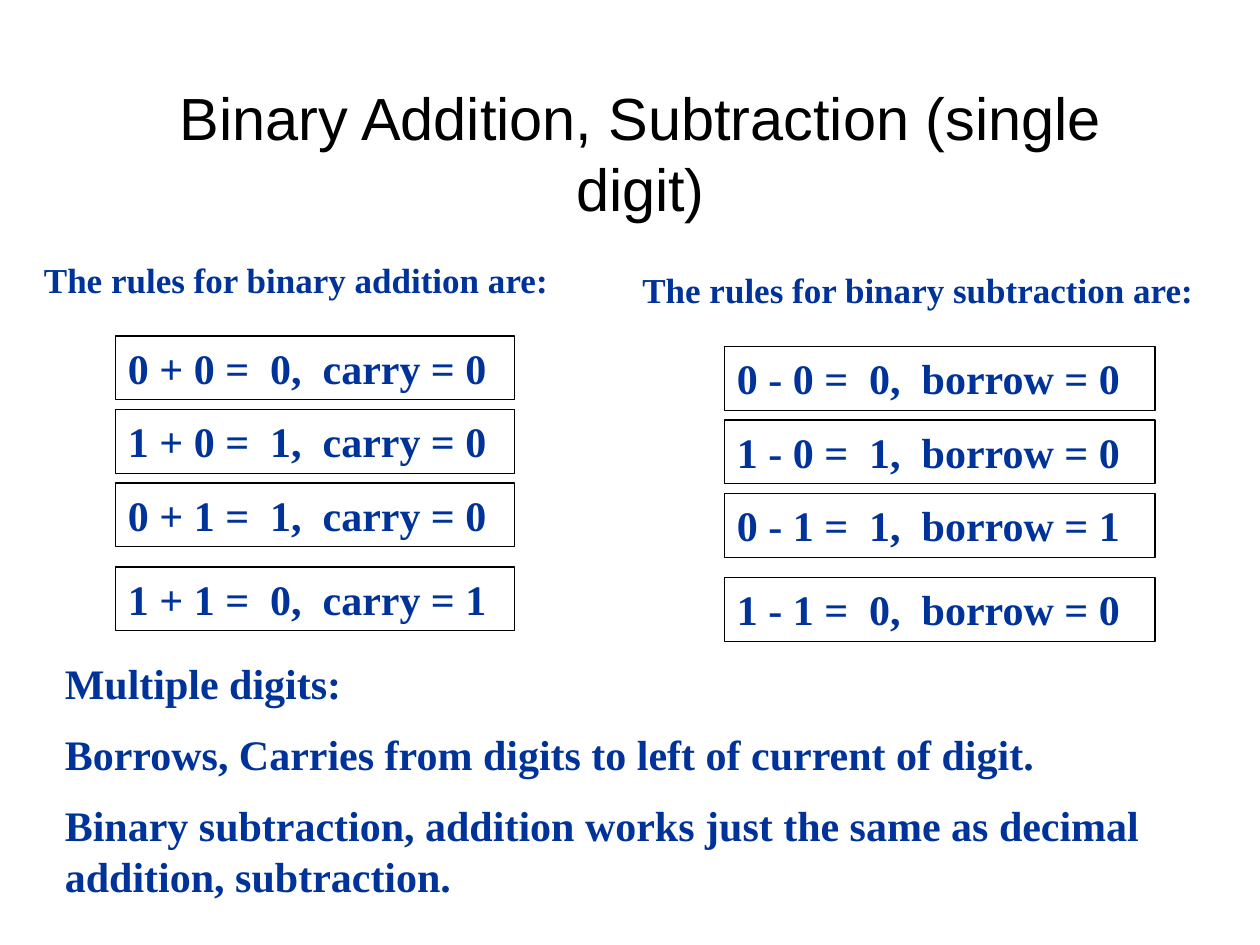
from pptx import Presentation
from pptx.dml.color import RGBColor
from pptx.enum.shapes import MSO_SHAPE as Shape
from pptx.enum.text import MSO_ANCHOR as Anchor, MSO_AUTO_SIZE as AutoSize, PP_ALIGN as Align
from pptx.util import Pt

COLORS = {"black": "000000", "navy": "003399"}
ROW_OFFSETS = [0, 42, 84, 132]

# left, top and width of the heading, then of the first rule box
COLUMNS = [
    ("The rules for binary addition are:", (18, 144, 348), (66, 192, 228),
     ["0 + 0 =  0,  carry = 0", "1 + 0 =  1,  carry = 0",
      "0 + 1 =  1,  carry = 0", "1 + 1 =  0,  carry = 1"]),
    ("The rules for binary subtraction are:", (360, 150, 360), (414, 198, 246),
     ["0 - 0 =  0,  borrow = 0", "1 - 0 =  1,  borrow = 0",
      "0 - 1 =  1,  borrow = 1", "1 - 1 =  0,  borrow = 0"]),
]
NOTES = [
    "Multiple digits:",
    "Borrows, Carries from digits to left of current of digit.",
    "Binary subtraction, addition works just the same as decimal addition, subtraction.",
]


def style(para, size, name="Times New Roman", color="navy", bold=True, align=Align.LEFT):
    para.alignment = align
    para.font.size = Pt(size)
    para.font.name = name
    para.font.bold = bold
    para.font.color.rgb = RGBColor.from_string(COLORS[color])


def write(box, lines, size):
    """Fill a box with one bold paragraph per line, spaced 12 points apart."""
    frame = box.text_frame
    frame.word_wrap = True
    frame.auto_size = AutoSize.SHAPE_TO_FIT_TEXT
    frame.vertical_anchor = Anchor.TOP
    frame.text = "\n".join(lines)
    for index, para in enumerate(frame.paragraphs):
        style(para, size)
        if index:
            para.space_before = Pt(12)


deck = Presentation()
deck.slide_width, deck.slide_height = Pt(720), Pt(540)
page = deck.slides.add_slide(deck.slide_layouts[5])

title = page.shapes.title
title.left, title.top, title.width, title.height = Pt(60), Pt(42), Pt(612), Pt(90)
title.text_frame.text = "Binary Addition, Subtraction (single digit)"
title.text_frame.auto_size = AutoSize.NONE
title.text_frame.vertical_anchor = Anchor.MIDDLE
style(title.text_frame.paragraphs[0], 34, "Arial", "black", False, Align.CENTER)

for heading, (left, top, width), (rule_left, rule_top, rule_width), rules in COLUMNS:
    heading_box = page.shapes.add_textbox(Pt(left), Pt(top), Pt(width), Pt(31.5))
    write(heading_box, [heading], 20)
    for rule, offset in zip(rules, ROW_OFFSETS):
        rule_box = page.shapes.add_shape(
            Shape.RECTANGLE, Pt(rule_left), Pt(rule_top + offset), Pt(rule_width), Pt(36.5))
        rule_box.shadow.inherit = False
        rule_box.fill.background()
        rule_box.line.color.rgb = RGBColor.from_string(COLORS["black"])
        rule_box.line.width = Pt(0.75)
        write(rule_box, [rule], 24)

notes_box = page.shapes.add_textbox(Pt(30), Pt(372), Pt(690), Pt(151))
write(notes_box, NOTES, 24)

deck.save("out.pptx")
